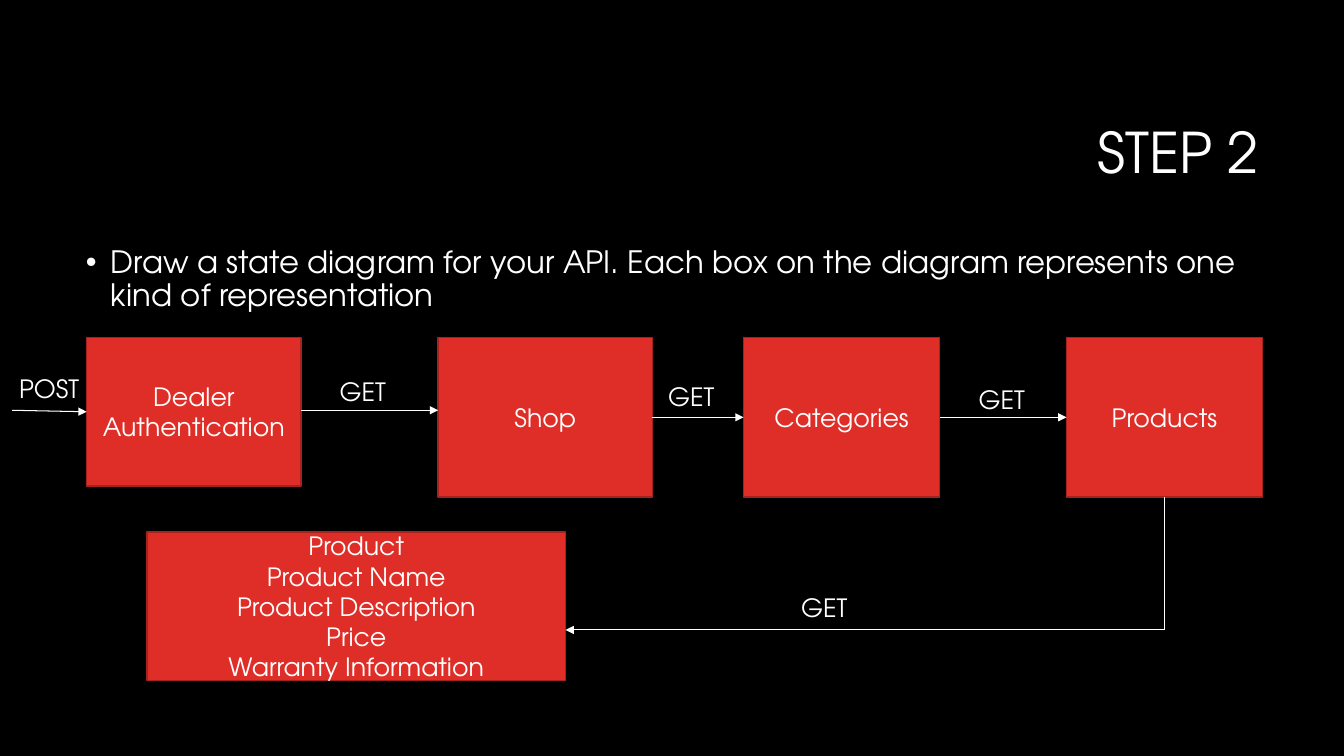
"""Build the Step 2 slide: a state diagram of an API."""
from lxml.etree import SubElement
from pptx import Presentation
from pptx.dml.color import RGBColor
from pptx.enum.shapes import MSO_CONNECTOR as Link, MSO_SHAPE as Form
from pptx.enum.text import MSO_ANCHOR as Anchor, MSO_AUTO_SIZE as Fit, PP_ALIGN as Align
from pptx.oxml.ns import qn
from pptx.util import Inches, Pt

FONT = "TeX Gyre Adventor"
BLACK, WHITE, RED, EDGE = "000000", "FFFFFF", "DF2E28", "A5221E"
WIDE, HIGH = Inches(13.333), Inches(7.5)

TITLE = "STEP 2", (23.78, 11.2, 70.65, 18.8)
BODY = ("Draw a state diagram for your API. Each box on the diagram "
        "represents one kind of representation"), (5.63, 32, 88.73, 58.67)
ROW, LOW, LANE, TURN = 44.67, 70.4, 54.27, 83.33
SHORT, TALL = 19.6, 21.07
DETAIL = ["Product", "Product Name", "Product Description", "Price", "Warranty Information"]
BOXES = {
    "dealer": (["Dealer Authentication"], (6.45, ROW, 15.95, SHORT)),
    "shop": (["Shop"], (32.6, ROW, 15.95, TALL)),
    "groups": (["Categories"], (55.33, ROW, 14.58, TALL)),
    "goods": (["Products"], (79.35, ROW, 14.58, TALL)),
    "detail": (DETAIL, (10.93, LOW, 31.15, SHORT)),
}
LABELS = [
    ("GET", 24.53, 49.07, 4.95), ("POST", 0.68, 48.67, 6), ("GET", 48.98, 49.73, 4.95),
    ("GET", 72.08, 50.13, 4.95), ("GET", 58.88, 77.73, 4.95),
]


def tint(code):
    return RGBColor.from_string(code)


def span(x, y, *more):
    """Turn percent shares of the slide into lengths."""
    return [round(v * side / 100) for v, side in zip((x, y, *more), (WIDE, HIGH) * 2)]


def place(item, area):
    item.left, item.top, item.width, item.height = span(*area)


def write(frame, lines, size=18, align=Align.LEFT, anchor=Anchor.TOP,
          wrap=True, fit=Fit.NONE, lead=1.0, before=0):
    """Fill a text frame, one paragraph a line."""
    frame.text = "\n".join(lines)
    frame.word_wrap, frame.auto_size, frame.vertical_anchor = wrap, fit, anchor
    for para in frame.paragraphs:
        para.alignment, para.line_spacing, para.space_before = align, lead, Pt(before)
        for run in para.runs:
            run.font.name, run.font.size = FONT, Pt(size)
            run.font.color.rgb = tint(WHITE)


def box(shapes, lines, area):
    item = shapes.add_shape(Form.RECTANGLE, *span(*area))
    item.shadow.inherit = False
    item.fill.solid()
    item.fill.fore_color.rgb = tint(RED)
    item.line.color.rgb, item.line.width = tint(EDGE), Pt(1)
    write(item.text_frame, lines, align=Align.CENTER, anchor=Anchor.MIDDLE)
    return item


def join(shapes, start, end, head=True):
    """Draw a line; an end is a point or a (shape, side) pair."""
    line = shapes.add_connector(Link.STRAIGHT, 0, 0, 0, 0)
    if isinstance(start[0], (int, float)):
        line.begin_x, line.begin_y = span(*start)
    else:
        line.begin_connect(*start)
    if isinstance(end[0], (int, float)):
        line.end_x, line.end_y = span(*end)
    else:
        line.end_connect(*end)
    line.line.color.rgb, line.line.width = tint(WHITE), Pt(0.75)
    if head:
        SubElement(line.line._get_or_add_ln(), qn("a:tailEnd"), type="triangle")
    SubElement(line._element.spPr, qn("a:effectLst"))


def main():
    deck = Presentation()
    deck.slide_width, deck.slide_height = WIDE, HIGH
    slide = deck.slides.add_slide(deck.slide_layouts[1])
    slide.background.fill.solid()
    slide.background.fill.fore_color.rgb = tint(BLACK)
    shapes = slide.shapes

    title, body = slide.placeholders
    place(title, TITLE[1])
    write(title.text_frame, [TITLE[0]], size=40, align=Align.RIGHT,
          anchor=Anchor.MIDDLE, lead=0.9)
    place(body, BODY[1])
    write(body.text_frame, [BODY[0]], size=22, lead=0.9, before=10)
    props = body.text_frame.paragraphs[0]._p.get_or_add_pPr()
    props.set("marL", str(Inches(0.25)))
    props.set("indent", str(-Inches(0.25)))
    SubElement(props, qn("a:buChar"), char="•")

    made = {name: box(shapes, *data) for name, data in BOXES.items()}
    dealer, shop, groups, goods, detail = (BOXES[name][1] for name in BOXES)
    turn = goods[0] + goods[2] / 2, TURN
    join(shapes, (dealer[0] + dealer[2], LANE), (shop[0], LANE))
    join(shapes, (made["shop"], 3), (made["groups"], 1))
    join(shapes, (made["groups"], 3), (made["goods"], 1))
    join(shapes, (made["goods"], 2), turn, head=False)
    join(shapes, turn, (detail[0] + detail[2], TURN))
    join(shapes, (0.9, LANE), (made["dealer"], 1))

    for word, x, y, width in LABELS:
        label = shapes.add_textbox(*span(x, y, width, 5.33))
        write(label.text_frame, [word], wrap=word == "POST", fit=Fit.SHAPE_TO_FIT_TEXT)
    deck.save("out.pptx")


if __name__ == "__main__":
    main()
